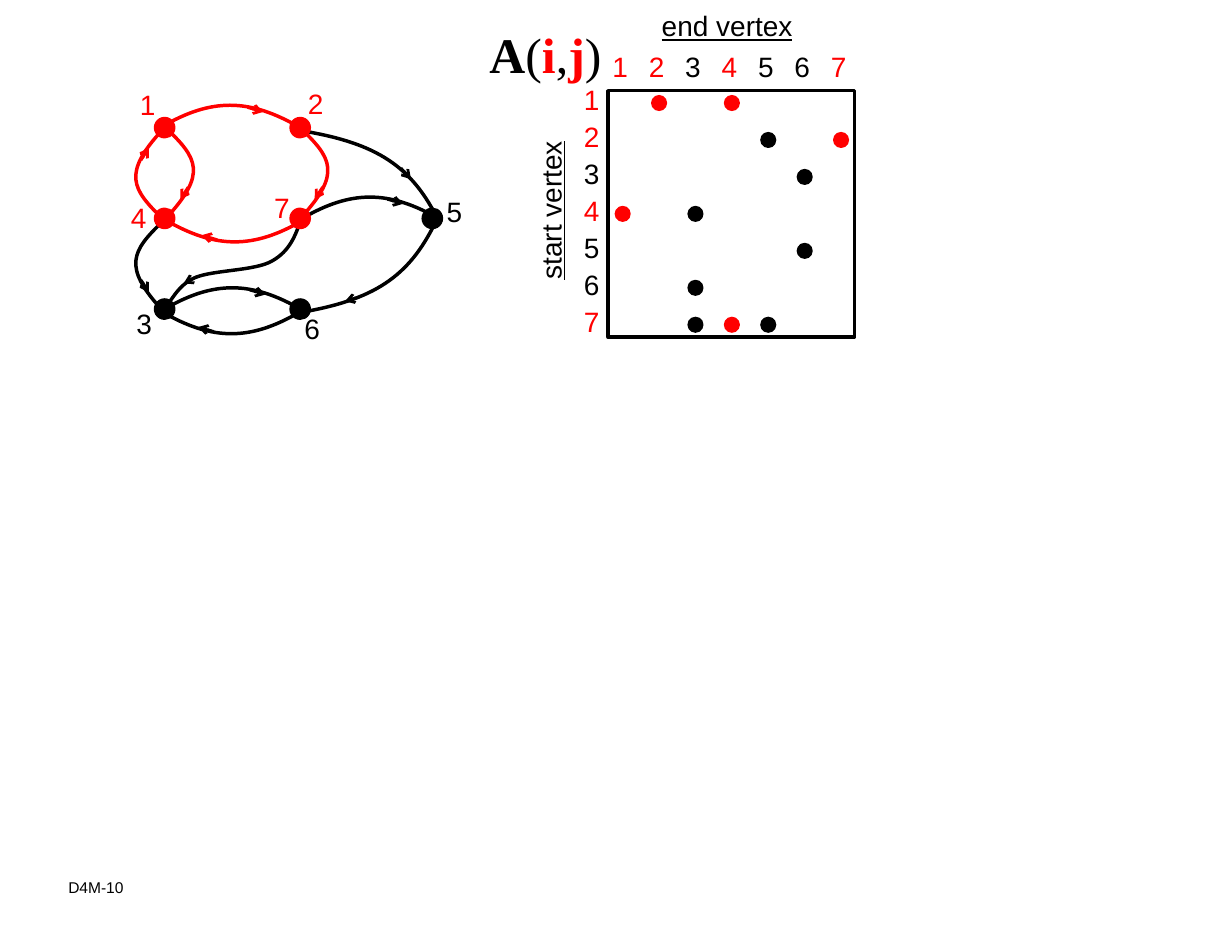
from dataclasses import dataclass

from lxml import etree
from pptx import Presentation
from pptx.dml.color import RGBColor
from pptx.enum.shapes import MSO_CONNECTOR, MSO_SHAPE
from pptx.enum.text import MSO_AUTO_SIZE, PP_ALIGN
from pptx.oxml.ns import qn
from pptx.util import Inches, Pt

OVAL, SQUARE = MSO_SHAPE.OVAL, MSO_SHAPE.RECTANGLE
STRAIGHT = MSO_CONNECTOR.STRAIGHT
LEFT, RIGHT = PP_ALIGN.LEFT, PP_ALIGN.RIGHT
FIT_TEXT = MSO_AUTO_SIZE.SHAPE_TO_FIT_TEXT
RED, BLACK = "FF0000", "000000"
SANS, SERIF = "Arial", "Times New Roman"
HIGHLIGHTED = {1, 2, 4, 7}
NODE_SIZE, DOT_SIZE = 0.18, 0.13

Point = tuple[float, float]


@dataclass(frozen=True)
class Vertex:
    center: Point
    label: Point


@dataclass(frozen=True)
class Bend:
    curve: list[Point]
    arrow: list[Point]


@dataclass(frozen=True)
class Edge:
    start: int
    end: int
    bend: Bend
    flip: Point = (1, 1)
    nudge: Point = (0, 0)
    anchor: int = 0


@dataclass(frozen=True)
class Piece:
    text: str
    color: str = BLACK
    bold: bool = False
    underline: bool = False


WEST, EAST = 1.47, 2.68
TOP, MIDDLE, BOTTOM = 1.14, 1.95, 2.76
VERTICES = {
    1: Vertex((WEST, TOP), (1.15, 0.73)),
    2: Vertex((EAST, TOP), (2.65, 0.72)),
    3: Vertex((WEST, BOTTOM), (1.12, 2.69)),
    4: Vertex((WEST, MIDDLE), (1.07, 1.74)),
    5: Vertex((3.86, MIDDLE), (3.89, 1.69)),
    6: Vertex((EAST, BOTTOM), (2.62, 2.73)),
    7: Vertex((EAST, MIDDLE), (2.35, 1.65)),
}

ARCH = Bend([(0, 0), (0.43, -0.25), (0.77, -0.26), (1.23, 0.01)],
            [(0.76, -0.17), (0.9, -0.13)])
BOW = Bend([(0, 0), (0.27, 0.26), (0.36, 0.4), (0, 0.79)],
           [(0.19, 0.52), (0.12, 0.63)])
SWEEP = Bend([(0, 0), (-0.24, 0.5), (-0.56, 0.7), (-1.21, 0.81)],
             [(-0.68, 0.67), (-0.81, 0.71)])
RETURN_SWEEP = Bend(SWEEP.curve, [(-0.34, 0.48), (-0.25, 0.38)])
WAVE = Bend([(0, 0), (-0.05, 0.15), (-0.1, 0.29), (-0.26, 0.38), (-0.41, 0.47),
             (-0.79, 0.46), (-0.95, 0.53), (-1.11, 0.6), (-1.17, 0.76), (-1.22, 0.8)],
            [(-0.93, 0.52), (-1.05, 0.58)])

EDGES = [
    Edge(4, 1, BOW, flip=(-1, -1), nudge=(-0.02, 0)),
    Edge(1, 4, BOW, nudge=(0.02, 0.01)),
    Edge(1, 2, ARCH, nudge=(-0.02, -0.01)),
    Edge(7, 3, WAVE, nudge=(0.01, 0)),
    Edge(7, 5, ARCH, nudge=(0.02, 0)),
    Edge(3, 6, ARCH),
    Edge(6, 3, ARCH, flip=(-1, -1), nudge=(-0.01, 0.03)),
    Edge(7, 4, ARCH, flip=(-1, -1), nudge=(0.02, 0.02)),
    Edge(4, 3, BOW, flip=(-1, 1), nudge=(-0.02, 0.03)),
    Edge(2, 7, BOW, nudge=(0.01, 0.01)),
    Edge(5, 6, SWEEP, nudge=(0.03, 0.03)),
    Edge(2, 5, RETURN_SWEEP, flip=(1, -1), nudge=(0.06, 0.03), anchor=5),
]


def rgb(color: str) -> RGBColor:
    return RGBColor.from_string(color)


def color_of(*numbers: int) -> str:
    return RED if HIGHLIGHTED.issuperset(numbers) else BLACK


def set_line(line, color: str, width: float) -> None:
    line.color.rgb = rgb(color)
    line.width = Pt(width)


def add_text(pieces: list[Piece], left: float, top: float, width: float, height: float,
             size: float = 18, font: str = SANS, align=LEFT,
             insets: Point = (0.1, 0.05), rotation: float = 0) -> None:
    box = shapes.add_textbox(Inches(left), Inches(top), Inches(width), Inches(height))
    box.rotation = rotation
    frame = box.text_frame
    frame.word_wrap = False
    frame.auto_size = FIT_TEXT
    frame.margin_left = frame.margin_right = Inches(insets[0])
    frame.margin_top = frame.margin_bottom = Inches(insets[1])
    paragraph = frame.paragraphs[0]
    paragraph.alignment = align
    for piece in pieces:
        run = paragraph.add_run()
        run.text = piece.text
        run.font.size, run.font.name = Pt(size), font
        run.font.bold, run.font.underline = piece.bold, piece.underline
        run.font.color.rgb = rgb(piece.color)


def add_number(number: int, left: float, top: float, align=LEFT) -> None:
    add_text([Piece(str(number), color_of(number))], left, top, 0.34, 0.4, align=align)


def add_dot(center: Point, size: float, color: str) -> None:
    left, top = (Inches(value - size / 2) for value in center)
    dot = shapes.add_shape(OVAL, left, top, Inches(size), Inches(size))
    dot.shadow.inherit = False
    dot.fill.solid()
    dot.fill.fore_color.rgb = rgb(color)
    set_line(dot.line, color, 1)


def place(points: list[Point], edge: Edge) -> list[Point]:
    center = VERTICES[edge.anchor or edge.start].center
    return [tuple(Inches(origin + shift + sign * offset) for origin, shift, sign, offset
                  in zip(center, edge.nudge, edge.flip, point)) for point in points]


def add_arrow(edge: Edge, color: str) -> None:
    start, end = place(edge.bend.arrow, edge)
    arrow = shapes.add_connector(STRAIGHT, *start, *end)
    set_line(arrow.line, color, 1.75)
    properties = arrow._element.spPr
    etree.SubElement(properties.find(qn("a:ln")), qn("a:tailEnd"), type="arrow")
    etree.SubElement(properties, qn("a:effectLst"))


def add_curve(edge: Edge, color: str) -> None:
    start, *rest = place(edge.bend.curve, edge)
    builder = shapes.build_freeform(*start)
    builder.add_line_segments(rest, close=False)
    curve = builder.convert_to_shape()
    curve.shadow.inherit = False
    curve.fill.background()
    set_line(curve.line, color, 2.25)
    segments = list(curve._element.iter(qn("a:lnTo")))
    outline = segments[0].getparent()
    for first in range(0, len(segments), 3):
        bezier = etree.SubElement(outline, qn("a:cubicBezTo"))
        for segment in segments[first:first + 3]:
            bezier.append(segment[0])
            outline.remove(segment)


def add_matrix() -> None:
    column_step, row_step = 0.325, 0.33
    border = shapes.add_shape(SQUARE, Inches(5.43), Inches(0.81), Inches(2.2), Inches(2.2))
    border.shadow.inherit = False
    border.fill.background()
    set_line(border.line, BLACK, 2.25)
    for edge in EDGES:
        center = (5.56 + column_step * (edge.end - 1), 0.92 + row_step * (edge.start - 1))
        add_dot(center, DOT_SIZE, color_of(edge.start, edge.end))
    for index, number in enumerate(VERTICES):
        add_number(number, 5.11, 0.69 + row_step * index, RIGHT)
        add_number(number, 5.37 + column_step * index, 0.39)
    add_text([Piece("start vertex", underline=True)], 4.19, 1.67, 1.45, 0.4, rotation=270)
    add_text([Piece("end vertex", underline=True)], 5.81, 0.03, 1.38, 0.4)


def add_graph() -> None:
    for edge in EDGES:
        color = color_of(edge.start, edge.end)
        add_arrow(edge, color)
        add_curve(edge, color)
    for number, vertex in VERTICES.items():
        add_dot(vertex.center, NODE_SIZE, color_of(number))
        add_number(number, *vertex.label)


presentation = Presentation()
presentation.slide_width, presentation.slide_height = Inches(11), Inches(8.5)
shapes = presentation.slides.add_slide(presentation.slide_layouts[6]).shapes

add_text([Piece("D4M-10")], 0.55, 7.84, 1.31, 0.27, size=10, insets=(0.06, 0))
add_text([Piece("A", bold=True), Piece("("), Piece("i", RED, True), Piece(","),
          Piece("j", RED, True), Piece(")")],
         4.27, 0.17, 1.19, 0.63, size=32, font=SERIF, align=RIGHT, insets=(0.09, 0.04))
add_matrix()
add_graph()
presentation.save("out.pptx")
